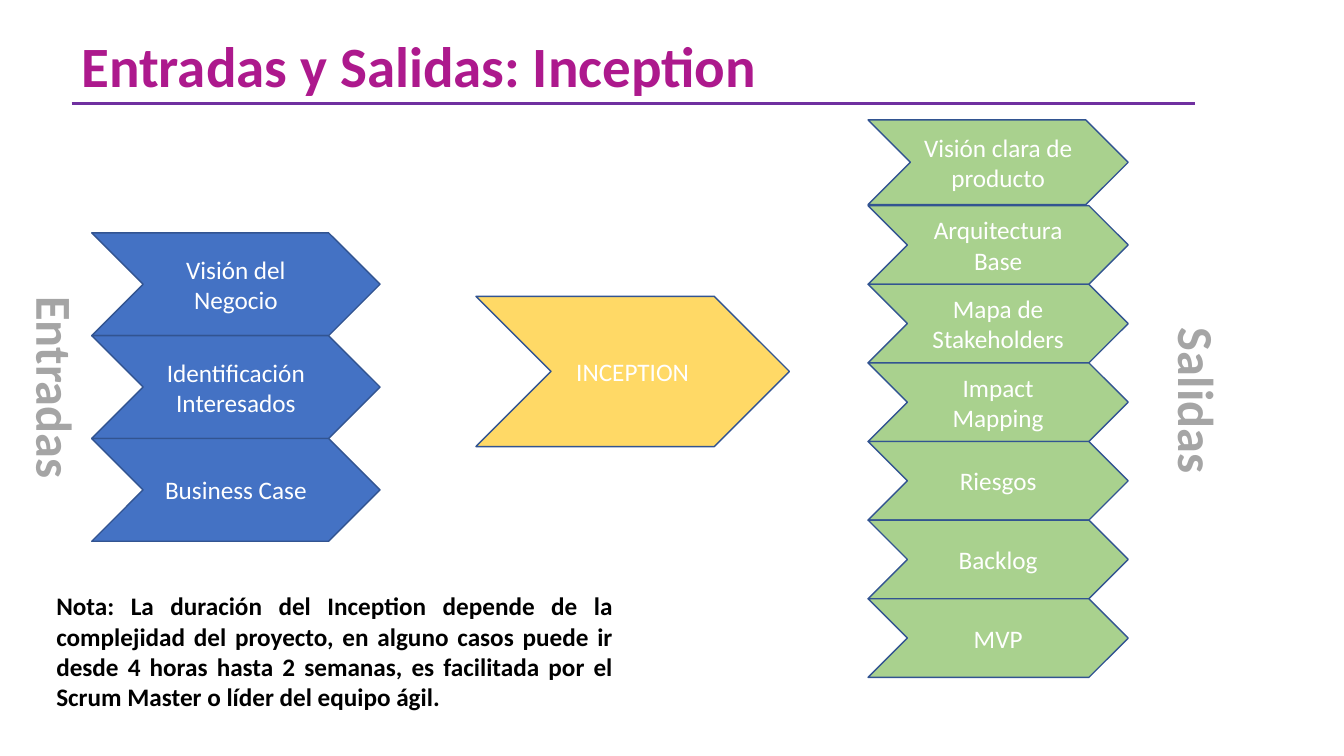
import pptx
import pptx.dml.color
import pptx.enum.shapes
import pptx.enum.text
import pptx.util
from lxml import etree
from pptx.util import Inches

ALIGN = pptx.enum.text.PP_ALIGN
ANCHOR = pptx.enum.text.MSO_ANCHOR

theme = {
    "font": "Calibri",
    "title": "AD198D", "rule": "7030A0", "outline": "325491",
    "input": "4472C4", "process": "FFD966", "output": "A9D18E",
    "step_text": "FFFFFF", "side_label": "A5A5A5", "note": "000000",
    "title_size": 40.7, "body_size": 18, "side_size": 36,
}


def write(frame, text, color, size, bold, align, anchor):
    frame.word_wrap = True
    frame.vertical_anchor = anchor
    paragraph = frame.paragraphs[0]
    paragraph.text = text
    paragraph.alignment = align
    font_format = {"name": theme["font"], "size": pptx.util.Pt(theme[size]), "bold": bold}
    for attribute, value in font_format.items():
        setattr(paragraph.font, attribute, value)
    paragraph.font.color.rgb = pptx.dml.color.RGBColor.from_string(theme[color])
    return paragraph


def add_step(text, fill, left, top, width, height):
    step = slide.shapes.add_shape(
        pptx.enum.shapes.MSO_SHAPE.CHEVRON,
        Inches(left), Inches(top), Inches(width), Inches(height))
    step.shadow.inherit = False
    step.fill.solid()
    step.fill.fore_color.rgb = pptx.dml.color.RGBColor.from_string(theme[fill])
    step.line.color.rgb = pptx.dml.color.RGBColor.from_string(theme["outline"])
    step.line.width = pptx.util.Pt(1)
    write(step.text_frame, text, "step_text", "body_size", False, ALIGN.CENTER, ANCHOR.MIDDLE)


presentation = pptx.Presentation()
presentation.slide_width = Inches(13.33)
presentation.slide_height = Inches(7.5)
slide = presentation.slides.add_slide(presentation.slide_layouts[6])

# Title and the rule under it
rule = slide.shapes.add_connector(
    pptx.enum.shapes.MSO_CONNECTOR.STRAIGHT,
    Inches(0.71), Inches(1.03), Inches(11.85), Inches(1.03))
rule.line.color.rgb = pptx.dml.color.RGBColor.from_string(theme["rule"])
rule.line.width = pptx.util.Pt(2.25)
etree.SubElement(rule._element.spPr, pptx.oxml.ns.qn("a:effectLst"))

title = slide.shapes.add_textbox(Inches(0.71), Inches(0.42), Inches(10.33), Inches(0.61))
heading = write(title.text_frame, "Entradas y Salidas: Inception",
                "title", "title_size", True, ALIGN.LEFT, ANCHOR.MIDDLE)
heading.line_spacing = 0.7

# Inputs
inputs = ["Visión del Negocio", "Identificación Interesados", "Business Case"]
for row, name in enumerate(inputs):
    add_step(name, "input", 0.91, 2.31 + row * 1.02, 2.86, 1.02)

# Process
add_step("INCEPTION", "process", 4.72, 2.94, 3.11, 1.49)

# Outputs: the first is taller than the rest
add_step("Visión clara de producto", "output", 8.61, 1.19, 2.58, 0.84)
outputs = ["Arquitectura Base", "Mapa de Stakeholders", "Impact Mapping",
           "Riesgos", "Backlog", "MVP"]
for row, name in enumerate(outputs):
    add_step(name, "output", 8.61, 2.04 + row * 0.78, 2.58, 0.78)

# Rotated side labels
for name, left, top, width in [("Entradas", -0.61, 3.49, 2.33), ("Salidas", 10.84, 3.62, 2.08)]:
    side_label = slide.shapes.add_textbox(Inches(left), Inches(top), Inches(width), Inches(0.71))
    side_label.rotation = 90
    write(side_label.text_frame, name, "side_label", "side_size", True, ALIGN.CENTER, ANCHOR.TOP)

# Note
note = slide.shapes.add_textbox(Inches(0.46), Inches(5.81), Inches(5.72), Inches(1.31))
write(note.text_frame,
      "Nota: La duración del Inception depende de la complejidad del proyecto, "
      "en alguno casos puede ir desde 4 horas hasta 2 semanas, es facilitada por "
      "el Scrum Master o líder del equipo ágil.",
      "note", "body_size", True, ALIGN.JUSTIFY, ANCHOR.TOP)

presentation.save("out.pptx")
